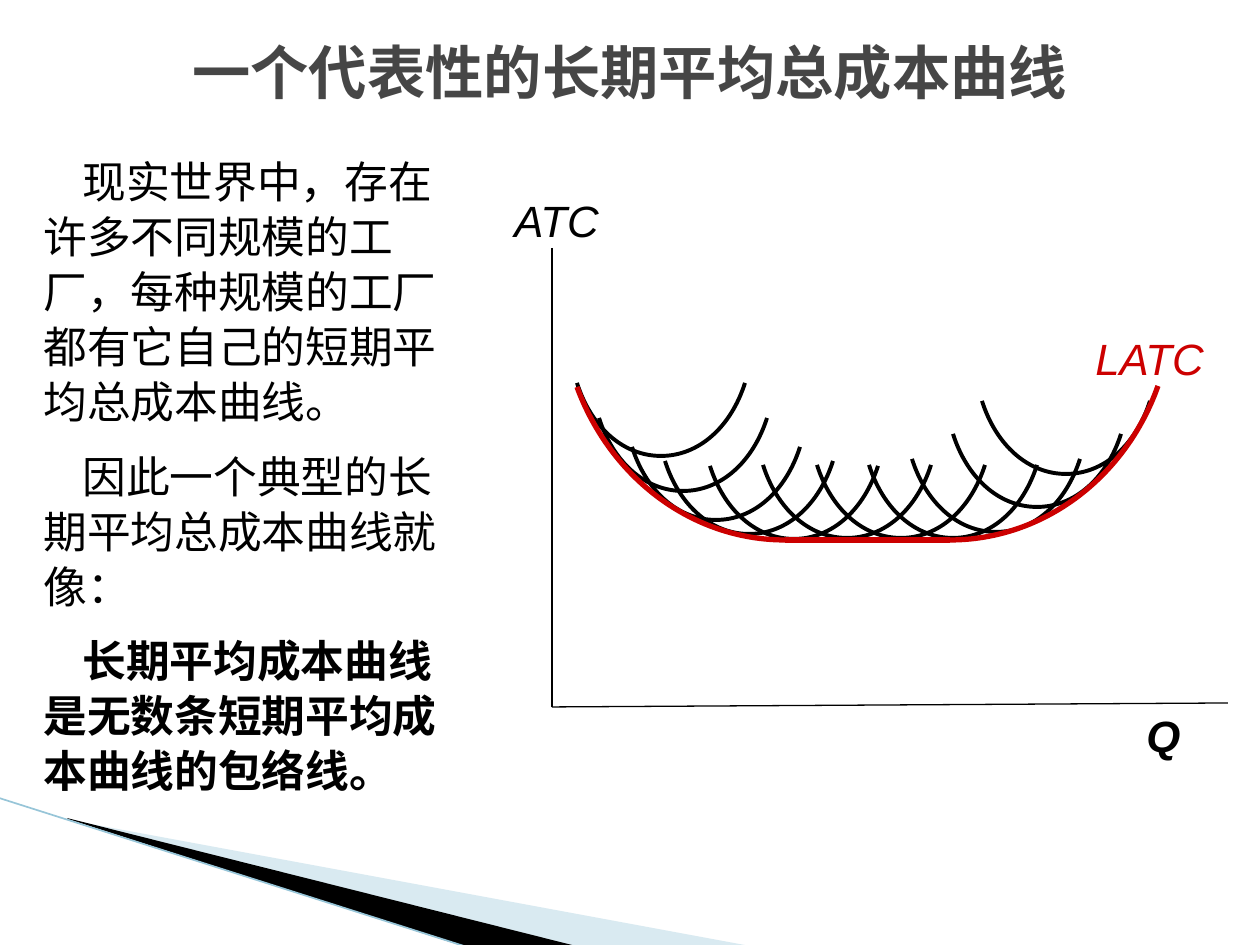
from copy import deepcopy
from lxml.etree import SubElement
from pptx import Presentation
from pptx.dml.color import RGBColor
from pptx.enum.shapes import MSO_CONNECTOR
from pptx.enum.text import MSO_ANCHOR, PP_ALIGN
from pptx.oxml.ns import qn
from pptx.util import Inches, Pt

PX = 7257
C = {"black": "000000", "title": "464646", "red": "CC0000", "pale": "A0CBDC", "edge": "97C5D8"}

prs = Presentation()
prs.slide_width, prs.slide_height = Inches(10), Inches(7.5)
s = prs.slides.add_slide(prs.slide_layouts[6])


def add_free(pts):
    pts = [(x * PX, y * PX) for x, y in pts]
    fb = s.shapes.build_freeform(*pts[0])
    fb.add_line_segments(pts[1:], close=True)
    sp = fb.convert_to_shape()
    sp.shadow.inherit = False
    return sp


def add_text(x, y, w, h, paras, size, color, font="Arial", align=PP_ALIGN.LEFT, italic=None):
    tf = s.shapes.add_textbox(x * PX, y * PX, w * PX, h * PX).text_frame
    tf.word_wrap = True
    for i, (text, bold) in enumerate(paras):
        p = tf.paragraphs[0] if i == 0 else tf.add_paragraph()
        p.text = text
        p.alignment = align
        p.font.name, p.font.size = font, Pt(size)
        p.font.bold, p.font.italic = bold, italic
        p.font.color.rgb = RGBColor.from_string(C[color])
    return tf


wedges = [
    ([(69, 820), (750, 946), (575, 946), (69, 819)], "pale"),
    ([(67, 818), (576, 946), (469, 948), (68, 819)], "black"),
]
for pts, color in wedges:
    sp = add_free(pts)
    sp.fill.solid()
    sp.fill.fore_color.rgb = RGBColor.from_string(C[color])
    sp.line.fill.background()
    if color == "pale":
        clr = sp._element.spPr.find(qn("a:solidFill"))[0]
        SubElement(clr, qn("a:alpha")).set("val", "40000")

tf = add_text(0, 35, 1260, 82, [("一个代表性的长期平均总成本曲线", True)], 33.3, "title",
              "Courier New", PP_ALIGN.CENTER)
tf.vertical_anchor = MSO_ANCHOR.MIDDLE
tf.paragraphs[0].line_spacing = 0.9

body = [
    ("现实世界中，存在许多不同规模的工厂，每种规模的工厂都有它自己的短期平均总成本曲线。", None),
    ("因此一个典型的长期平均总成本曲线就像：", None),
    ("长期平均成本曲线是无数条短期平均成本曲线的包络线。", True),
]
tf = add_text(31, 146, 441, 596, body, 25, "black")
for i, p in enumerate(tf.paragraphs):
    p.line_spacing = 1.05
    pPr = p._p.get_or_add_pPr()
    pPr.set("indent", str(39 * PX))
    pPr.set("hangingPunct", "0")
    if i:
        p.space_before = Pt(11)

add_text(1134, 703, 73, 66, [("Q", True)], 25, "black", italic=True)
add_text(486, 188, 125, 66, [("ATC", None)], 25, "black", align=PP_ALIGN.RIGHT, italic=True)
add_text(1083, 326, 177, 66, [("LATC", None)], 25, "red", italic=True)

plants = [(661, 383), (683, 418), (716, 447), (749, 461), (794, 466), (847, 465),
          (901, 465), (953, 465), (996, 459), (1037, 434), (1066, 401)]
half = [(84, 0), (70, 44), (38, 73), (0, 73)]
arcs = []
for cx, top in plants:
    right = [(cx + dx, top + dy) for dx, dy in half]
    left = [(cx - dx, top + dy) for dx, dy in half[-2::-1]]
    arcs.append((right + left, (cx, top - 41), "black", 2.25))
arcs.append(([(785, 540), (693, 540), (611, 479), (577, 387)], (785, 300), "red", 3))
arcs.append(([(1158, 386), (1125, 479), (1042, 540), (950, 540)], (950, 300), "red", 3))

for pts, center, color, width in arcs:
    sp = add_free(pts + [center])
    sp.fill.background()
    sp.line.color.rgb = RGBColor.from_string(C[color])
    sp.line.width = Pt(width)
    sector = next(sp._element.iter(qn("a:path")))
    steps = sector.findall(qn("a:lnTo"))[:-1]
    for k in range(0, len(steps), 3):
        bezier = steps[k]
        for step in steps[k + 1:k + 3]:
            bezier.append(step[0])
            sector.remove(step)
        bezier.tag = qn("a:cubicBezTo")
    outline = deepcopy(sector)
    for tag in ("a:lnTo", "a:close"):
        outline.remove(outline.find(qn(tag)))
    sector.set("stroke", "0")
    sector.addnext(outline)

lines = [
    ((-1, 798, 467, 947), "edge", 0.95),
    ((552, 248, 552, 707), "black", 0.75),
    ((552, 707, 1228, 703), "black", 0.75),
    ((785, 540, 950, 540), "red", 3),
]
for ends, color, width in lines:
    ln = s.shapes.add_connector(MSO_CONNECTOR.STRAIGHT, *[v * PX for v in ends])
    ln.line.color.rgb = RGBColor.from_string(C[color])
    ln.line.width = Pt(width)
    SubElement(ln._element.spPr, qn("a:effectLst"))

prs.save("out.pptx")
